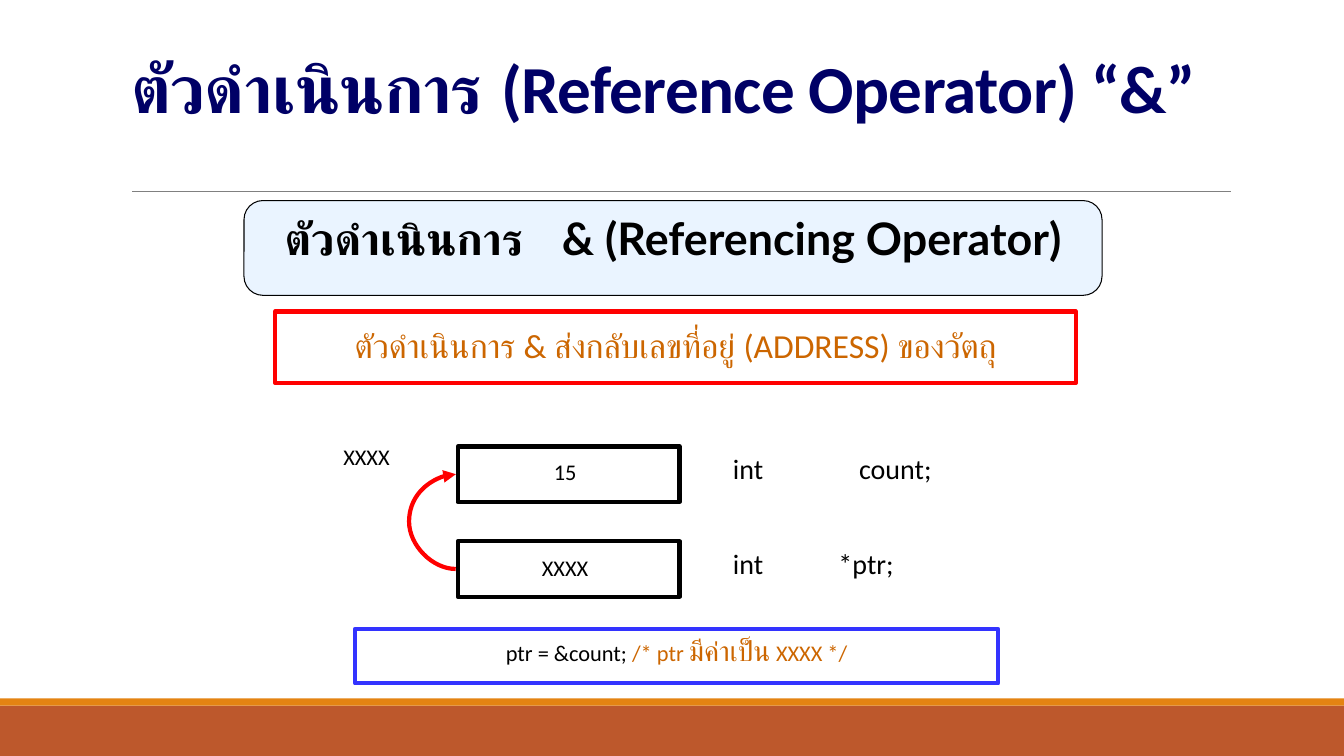
from lxml.etree import SubElement
from pptx import Presentation
from pptx.dml.color import RGBColor
from pptx.enum.shapes import MSO_CONNECTOR as LINK, MSO_SHAPE as SHAPE
from pptx.enum.text import MSO_ANCHOR as ANCHOR, MSO_AUTO_SIZE as FIT, PP_ALIGN as ALIGN
from pptx.oxml.ns import qn
from pptx.util import Inches, Pt

# Content: each text is a list of (words, size, colour)
BLACK, OCHRE, RED = "000000", "CC6600", "FF0000"
TITLE = [("ตัวดำเนินการ (Reference Operator) “&”", 48, "000066")]
HEADING = [("ตัวดำเนินการ\t& (Referencing Operator)", 32, BLACK)]
MEANING = [("ตัวดำเนินการ & ส่งกลับเลขที่อยู่ (ADDRESS) ของวัตถุ", 24, OCHRE)]
STATEMENT = [("ptr = &count; ", 16, BLACK), ("/* ptr ", 16, OCHRE),
             ("มีค่าเป็น", 20, OCHRE), (" XXXX */", 16, OCHRE)]
ADDRESS = "XXXX"
# Variables: value, its place (left, drop, width), type, name, its place (left, width)
VARIABLES = [("15", (5.34, 0.07, 0.53), "int", "count;", (8.17, 1.42)),
             (ADDRESS, (5.17, 0.08, 0.87), "int", "*ptr;", (7.8, 1.58))]

# Layout in inches
WIDE, HIGH = 13.33, 7.5
CELL_LEFT, CELL_WIDE, CELL_HIGH = 4.54, 2.2, 0.55
ROW_TOP, ROW_STEP = 4.43, 0.94
TYPE_LEFT, TYPE_WIDE = 6.91, 1.02
ARROW_X, ARROW_BULGE = 4.52, 0.51


def colour(code):
    return RGBColor.from_string(code)


def write(frame, spans, align=ALIGN.CENTER, font="Calibri", bold=False, anchor=ANCHOR.TOP):
    frame.word_wrap = True
    frame.vertical_anchor = anchor
    para = frame.paragraphs[0]
    para.alignment = align
    for words, size, code in spans:
        span = para.add_run()
        span.text = words
        span.font.name, span.font.size, span.font.bold = font, Pt(size), bold
        span.font.color.rgb = colour(code)
    return para


def add_box(page, place, fill=None, line=None, weight=3, kind=SHAPE.RECTANGLE):
    box = page.shapes.add_shape(kind, *map(Inches, place))
    box.shadow.inherit = False
    if fill:
        box.fill.solid()
        box.fill.fore_color.rgb = colour(fill)
    else:
        box.fill.background()
    if line:
        box.line.color.rgb = colour(line)
        box.line.width = Pt(weight)
    else:
        box.line.fill.background()
    return box


def add_label(page, place, words, size, wrap=True):
    label = page.shapes.add_textbox(*map(Inches, place))
    write(label.text_frame, [(words, size, BLACK)])
    label.text_frame.word_wrap = wrap


def add_link(page, kind, start, end, line, weight):
    link = page.shapes.add_connector(kind, *map(Inches, start + end))
    link.line.color.rgb = colour(line)
    link.line.width = Pt(weight)
    SubElement(link._element.spPr, qn("a:effectLst"))
    return link


def indent(para, margin, first):
    props = para._p.get_or_add_pPr()
    props.set("marL", str(Inches(margin)))
    props.set("indent", str(Inches(first)))
    return props


def main():
    deck = Presentation()
    deck.slide_width, deck.slide_height = Inches(WIDE), Inches(HIGH)
    page = deck.slides.add_slide(deck.slide_layouts[5])

    # Footer bands and title rule
    add_box(page, (0, 7, WIDE, 0.5), "BD582C")
    add_box(page, (0, 6.93, WIDE, 0.07), "E48312")
    add_link(page, LINK.STRAIGHT, (1.31, 1.9), (12.21, 1.9), "808080", 0.5)

    # Title
    title = page.shapes.title
    title.left, title.top, title.width, title.height = map(Inches, (1.2, 0.31, 11, 1))
    para = write(title.text_frame, TITLE, ALIGN.LEFT, bold=True, anchor=ANCHOR.BOTTOM)
    title.text_frame.auto_size = FIT.NONE
    para.line_spacing = 0.85
    para.runs[0].font._element.set("spc", "-50")

    # Meaning of the operator
    meaning = add_box(page, (2.73, 3.09, 7.94, 0.71), line=RED)
    para = write(meaning.text_frame, MEANING, anchor=ANCHOR.MIDDLE)
    para.line_spacing, para.space_before = 0.9, Pt(4.8)
    indent(para, 0.38, -0.38)

    # Rounded heading with a see-through fill
    heading = add_box(page, (2.42, 1.99, 8.51, 0.94), "99CCFF", BLACK, 0.75,
                      SHAPE.ROUNDED_RECTANGLE)
    heading.adjustments[0] = 0.2
    tint = heading._element.spPr.find(qn("a:solidFill"))[0]
    SubElement(tint, qn("a:alpha"), val="20000")
    para = write(heading.text_frame, HEADING, ALIGN.LEFT, "Lato", True)
    tabs = SubElement(indent(para, 0, 0.25), qn("a:tabLst"))
    SubElement(tabs, qn("a:tab"), pos=str(Inches(2.98)), algn="l")

    # Memory cells with their declarations
    add_label(page, (3.2, 4.35, 0.87, 0.43), ADDRESS, 16, wrap=False)
    for row, (value, (left, drop, width), kind, name, (name_left, name_wide)) in enumerate(VARIABLES):
        top = ROW_TOP + row * ROW_STEP
        add_box(page, (CELL_LEFT, top, CELL_WIDE, CELL_HIGH), line=BLACK)
        add_label(page, (left, top + drop, width, 0.43), value, 16, wrap=False)
        add_label(page, (TYPE_LEFT, top, TYPE_WIDE, 0.5), kind, 20)
        add_label(page, (name_left, top, name_wide, 0.5), name, 20)

    # Curved arrow from the pointer to its target; the bend is a multiple of the tiny width
    target = ROW_TOP + CELL_HIGH / 2
    arrow = add_link(page, LINK.CURVE, (ARROW_X, target + ROW_STEP), (ARROW_X, target), RED, 3)
    arrow.width = Pt(0.125)
    bend = -round(Inches(ARROW_BULGE) / arrow.width * 100000)
    guides = arrow._element.spPr.find(qn("a:prstGeom")).find(qn("a:avLst"))
    SubElement(guides, qn("a:gd"), name="adj1", fmla=f"val {bend}")
    SubElement(arrow.line._get_or_add_ln(), qn("a:tailEnd"), type="triangle")

    # Statement
    statement = add_box(page, (3.52, 6.24, 6.38, 0.54), line="3333FF")
    write(statement.text_frame, STATEMENT)

    deck.save("out.pptx")


if __name__ == "__main__":
    main()
